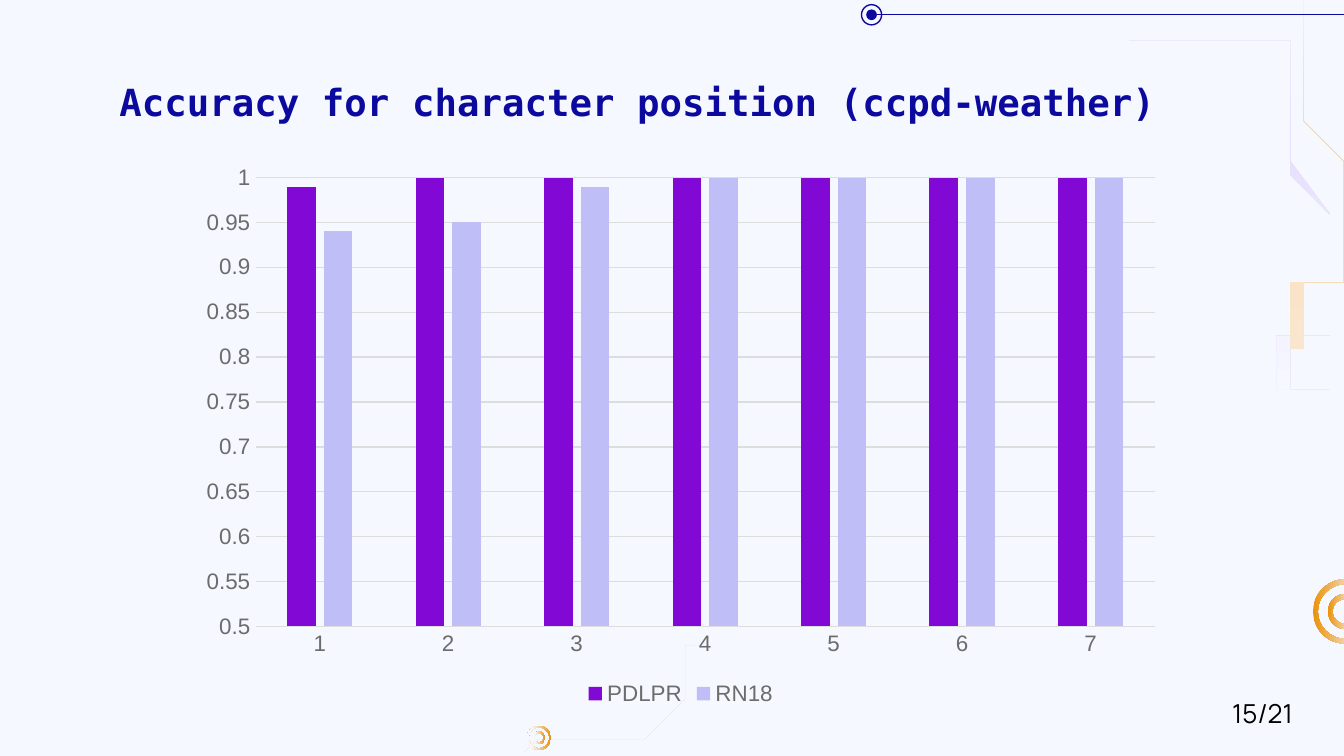
import math
from dataclasses import dataclass

import pptx
import pptx.chart.data
import pptx.dml.color
import pptx.enum.chart
import pptx.enum.shapes
import pptx.util
from lxml import etree
from pptx.oxml.ns import qn

RGBColor = pptx.dml.color.RGBColor
Pt = pptx.util.Pt

BACKGROUND = RGBColor(0xF5, 0xF8, 0xFF)
NAVY = RGBColor(0x0C, 0x0A, 0x9E)
ORANGE = RGBColor(0xEB, 0x91, 0x09)
AMBER = RGBColor(0xF4, 0xC4, 0x7C)
PEACH = RGBColor(0xFA, 0xD4, 0x9C)
PALE_PEACH = RGBColor(0xFA, 0xE6, 0xCF)
LAVENDER = RGBColor(0xE0, 0xCF, 0xFB)
PURPLE = RGBColor(0x82, 0x08, 0xD5)
LILAC = RGBColor(0xBF, 0xBE, 0xF7)
GREY = RGBColor(0x6C, 0x6C, 0x6C)
GRID_GREY = RGBColor(0xDD, 0xDD, 0xDD)
BLACK = RGBColor(0, 0, 0)

# The slide is a grid of square cells, a tenth of an inch each.
COLUMNS, ROWS = 100, 56.25
TRACE_WIDTH = 0.14
TOP_LINE_ROW = 1.1
RIGHT, DOWN, LEFT = 0, 270, 180


@dataclass(frozen=True)
class Trace:
    points: tuple[tuple[float, float], ...]
    start: RGBColor
    end: RGBColor


@dataclass(frozen=True)
class Ring:
    column: float
    row: float
    diameter: float
    thickness: float
    angle: int


@dataclass(frozen=True)
class Series:
    name: str
    values: tuple[float, ...]
    color: RGBColor


TRACES = (
    Trace(((84.35, 0), (84.35, 3.35), (96.15, 3.35), (96.15, 12.5), (99.15, 15.55),
           (99.15, 24.6), (95.45, 24.6), (95.45, 29.05), (99.15, 29.05)),
          LAVENDER, BACKGROUND),
    Trace(((85.45, 0), (85.45, 0.15), (97.25, 0.15), (97.25, 9.35), (100.3, 12.4),
           (100.3, 21.4), (96.55, 21.4), (96.55, 25.85), (100.3, 25.85)),
          PEACH, PALE_PEACH),
    Trace(((51.9, 48.1), (50.6, 48.1), (50.6, 52.4), (48.1, 54.9),
           (40.2, 54.9), (38.8, 56.3)), AMBER, AMBER),
)
RINGS = (
    Ring(100.1, 45.5, 4.8, 0.36, RIGHT),
    Ring(100.1, 45.5, 2.6, 0.36, RIGHT),
    Ring(40.1, 54.9, 1.8, 0.13, LEFT),
    Ring(40.1, 54.9, 0.95, 0.13, LEFT),
)
SERIES = (
    Series("PDLPR", (0.99, 1, 1, 1, 1, 1, 1), PURPLE),
    Series("RN18", (0.94, 0.95, 0.99, 1, 1, 1, 1), LILAC),
)


def cells(count: float) -> int:
    return pptx.util.Inches(count / 10)


def box(*numbers: float) -> list[int]:
    return [cells(number) for number in numbers]


def fill_gradient(shape, start: RGBColor, end: RGBColor, angle: int, reach: float = 1) -> None:
    """Fade from start to end, which is met at the share `reach` of the way."""
    shape.shadow.inherit = False
    shape.line.fill.background()
    shape.fill.gradient()
    shape.fill.gradient_angle = angle
    first, last = shape.fill.gradient_stops
    first.color.rgb, first.position = start, 0
    last.color.rgb, last.position = end, reach


def offset_side(points, distance: float) -> list[tuple[float, float]]:
    """Shift an open path sideways, with mitred corners."""
    directions = [math.atan2(y2 - y1, x2 - x1)
                  for (x1, y1), (x2, y2) in zip(points, points[1:])]
    shifted = []
    for index, (x, y) in enumerate(points):
        before = directions[max(index - 1, 0)]
        after = directions[min(index, len(directions) - 1)]
        normal_x = -math.sin(before) - math.sin(after)
        normal_y = math.cos(before) + math.cos(after)
        scale = 2 * distance / (normal_x ** 2 + normal_y ** 2)
        shifted.append((x + normal_x * scale, y + normal_y * scale))
    return shifted


def add_trace(slide, trace: Trace) -> None:
    half = TRACE_WIDTH / 2
    outline = offset_side(trace.points, half) + offset_side(trace.points, -half)[::-1]
    start, *rest = outline
    builder = slide.shapes.build_freeform(*start, scale=float(cells(1)))
    builder.add_line_segments(rest, close=True)
    fill_gradient(builder.convert_to_shape(), trace.start, trace.end, DOWN)


def add_centred(slide, kind, column: float, row: float, diameter: float):
    radius = diameter / 2
    shape = slide.shapes.add_shape(
        kind, *box(column - radius, row - radius, diameter, diameter))
    shape.shadow.inherit = False
    return shape


def add_ring(slide, ring: Ring) -> None:
    shape = add_centred(slide, pptx.enum.shapes.MSO_SHAPE.DONUT,
                        ring.column, ring.row, ring.diameter)
    shape.adjustments[0] = ring.thickness / ring.diameter
    fill_gradient(shape, ORANGE, BACKGROUND, ring.angle, reach=0.78)


def add_top_line(slide) -> None:
    oval = pptx.enum.shapes.MSO_SHAPE.OVAL
    circle = add_centred(slide, oval, 64.85, TOP_LINE_ROW, 1.5)
    circle.fill.background()
    circle.line.color.rgb, circle.line.width = NAVY, Pt(0.75)
    connector = slide.shapes.add_connector(
        pptx.enum.shapes.MSO_CONNECTOR.STRAIGHT,
        *box(COLUMNS, TOP_LINE_ROW, 65.2, TOP_LINE_ROW))
    connector.line.color.rgb, connector.line.width = NAVY, Pt(0.75)
    etree.SubElement(connector._element.spPr, qn("a:effectLst"))
    dot = add_centred(slide, oval, 64.85, TOP_LINE_ROW, 0.8)
    dot.fill.solid()
    dot.fill.fore_color.rgb = NAVY
    dot.line.fill.background()


def set_font(font, name: str, size: float, color: RGBColor, bold: bool = False) -> None:
    font.name, font.size, font.bold = name, Pt(size), bold
    font.color.rgb = color


def add_text(slide, text: str, *, place, font: str, size: float, color: RGBColor,
             bold: bool = False, inset: float = 0.5) -> None:
    frame = slide.shapes.add_textbox(*box(*place)).text_frame
    frame.word_wrap = True
    frame.margin_top = frame.margin_bottom = cells(inset)
    run = frame.paragraphs[0].add_run()
    run.text = text
    set_font(run.font, font, size, color, bold)


def add_accuracy_chart(slide) -> None:
    data = pptx.chart.data.CategoryChartData()
    data.categories = [str(position) for position in range(1, 8)]
    for series in SERIES:
        data.add_series(series.name, series.values)
    chart = slide.shapes.add_chart(
        pptx.enum.chart.XL_CHART_TYPE.COLUMN_CLUSTERED,
        *box(13.9, 11.5, 73.5, 41.4), data).chart
    chart.has_title = False
    set_font(chart.font, "Arial", 12, GREY)
    chart.has_legend = True
    chart.legend.position = pptx.enum.chart.XL_LEGEND_POSITION.BOTTOM
    chart.legend.include_in_layout = False
    set_font(chart.legend.font, "Arial", 12, GREY)

    plot = chart.plots[0]
    plot.gap_width, plot.overlap, plot.vary_by_categories = 219, -27, False
    for drawn, series in zip(plot.series, SERIES):
        drawn.format.fill.solid()
        drawn.format.fill.fore_color.rgb = series.color

    value_axis, category_axis = chart.value_axis, chart.category_axis
    for axis in (value_axis, category_axis):
        axis.major_tick_mark = axis.minor_tick_mark = pptx.enum.chart.XL_TICK_MARK.NONE
        set_font(axis.tick_labels.font, "Arial", 12, GREY)
    value_axis.minimum_scale, value_axis.maximum_scale = 0.5, 1
    value_axis.major_unit = 0.05
    value_axis.format.line.fill.background()
    for line in (value_axis.major_gridlines.format.line, category_axis.format.line):
        line.color.rgb, line.width = GRID_GREY, Pt(0.75)


def main() -> None:
    presentation = pptx.Presentation()
    presentation.slide_width, presentation.slide_height = box(COLUMNS, ROWS)
    slide = presentation.slides.add_slide(presentation.slide_layouts[6])
    slide.background.fill.solid()
    slide.background.fill.fore_color.rgb = BACKGROUND
    for trace in TRACES:
        add_trace(slide, trace)
    for ring in RINGS:
        add_ring(slide, ring)
    add_top_line(slide)
    add_text(slide, "Accuracy for character position (ccpd-weather)",
             place=(7.9, 4.9, 84.3, 6.3), font="DejaVu Sans Mono", size=20,
             color=NAVY, bold=True, inset=1)
    add_accuracy_chart(slide)
    add_text(slide, "15/21", place=(90.7, 51.4, 8.1, 3.4), font="Manrope", size=14,
             color=BLACK)
    presentation.save("out.pptx")


if __name__ == "__main__":
    main()
